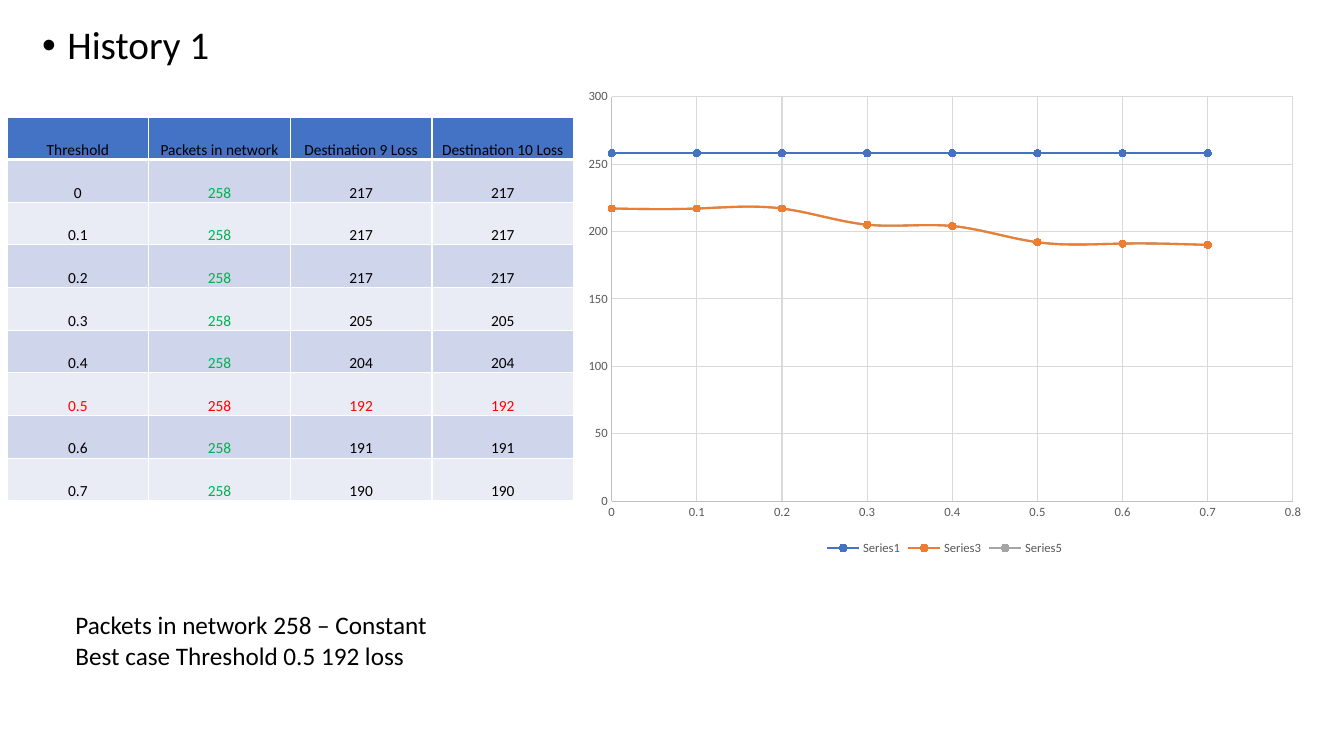
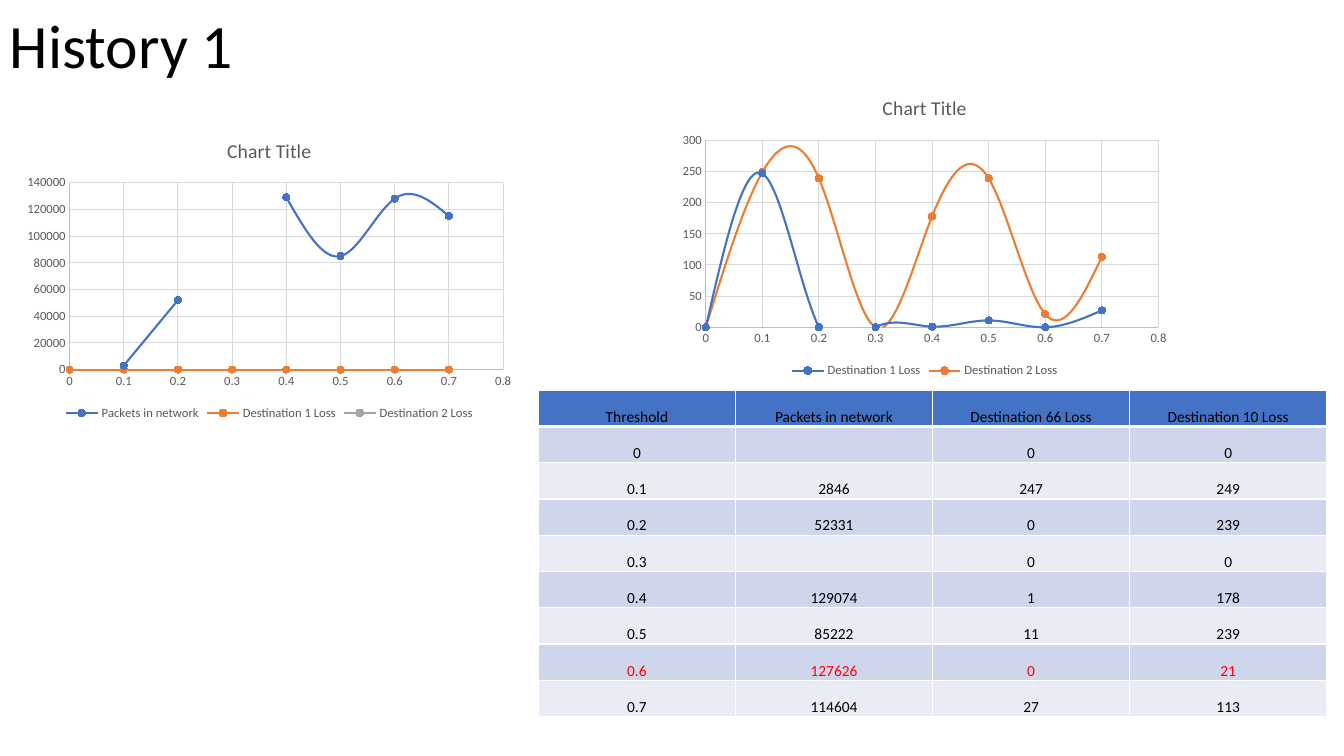
import pptx
import pptx.chart.data
import pptx.dml.color
import pptx.enum.chart
import pptx.enum.text
import pptx.oxml
import pptx.oxml.ns
import pptx.util

Inches = pptx.util.Inches
Pt = pptx.util.Pt
RGBColor = pptx.dml.color.RGBColor

BLACK = RGBColor(0x00, 0x00, 0x00)
RED = RGBColor(0xFF, 0x00, 0x00)
GREEN = RGBColor(0x00, 0xB0, 0x50)
BLUE = RGBColor(0x44, 0x72, 0xC4)
ORANGE = RGBColor(0xED, 0x7D, 0x31)
GRAY = RGBColor(0xA5, 0xA5, 0xA5)
AXIS_TEXT = RGBColor(0x59, 0x59, 0x59)
AXIS_LINE = RGBColor(0xBF, 0xBF, 0xBF)
GRID_LINE = RGBColor(0xD9, 0xD9, 0xD9)
BANDS = (RGBColor(0xE9, 0xEB, 0xF5), RGBColor(0xCF, 0xD5, 0xEA))

THRESHOLDS = (0, 0.1, 0.2, 0.3, 0.4, 0.5, 0.6, 0.7)
FIRST_LOSSES = (217, 217, 217, 205, 204, 192, 191, 190)
FIRST_PACKETS = (258,) * len(THRESHOLDS)
SECOND_PACKETS = (None, 2846, 52331, None, 129074, 85222, 127626, 114604)
DESTINATION_66 = (0, 247, 0, 0, 1, 11, 0, 27)
DESTINATION_10 = (0, 249, 239, 0, 178, 239, 21, 113)


class Deck:
    """Hold the shared style and the current slide, and draw elements on it."""

    font_name = "Calibri"
    series_colors = (BLUE, ORANGE, GRAY)
    cell_format = {
        "margin_left": Inches(0.01),
        "margin_right": Inches(0.01),
        "margin_top": Inches(0.01),
        "margin_bottom": 0,
        "vertical_anchor": pptx.enum.text.MSO_ANCHOR.BOTTOM,
    }
    axis_format = {
        "has_major_gridlines": True,
        "major_tick_mark": pptx.enum.chart.XL_TICK_MARK.NONE,
        "minor_tick_mark": pptx.enum.chart.XL_TICK_MARK.NONE,
    }
    legend_format = {
        "position": pptx.enum.chart.XL_LEGEND_POSITION.BOTTOM,
        "include_in_layout": False,
    }

    def __init__(self):
        self.presentation = pptx.Presentation()
        self.apply(self.presentation, {"slide_width": Inches(13.33), "slide_height": Inches(7.5)})
        self.slide = None

    def apply(self, target, values):
        for name, value in values.items():
            setattr(target, name, value)

    def style_font(self, font, size, color):
        self.apply(font, {"name": self.font_name, "size": Pt(size), "bold": False})
        font.color.rgb = color

    def style_line(self, line, color, width):
        line.color.rgb = color
        line.width = Pt(width)

    def add_slide(self):
        self.slide = self.presentation.slides.add_slide(self.presentation.slide_layouts[6])

    def add_text(self, box, lines, size, frame_format=None, paragraph_format=None, bullet=False):
        shape = self.slide.shapes.add_textbox(*map(Inches, box))
        frame = shape.text_frame
        self.apply(frame, {"word_wrap": True, **(frame_format or {})})
        for index, line in enumerate(lines):
            paragraph = frame.add_paragraph() if index else frame.paragraphs[0]
            self.apply(paragraph, paragraph_format or {})
            run = paragraph.add_run()
            run.text = line
            self.style_font(run.font, size, BLACK)
            if bullet:
                self.add_bullet(paragraph)

    def add_bullet(self, paragraph):
        properties = paragraph._p.get_or_add_pPr()
        properties.set("marL", str(Inches(0.25)))
        properties.set("indent", str(Inches(-0.25)))
        namespace = pptx.oxml.ns.nsdecls("a")
        properties.append(pptx.oxml.parse_xml(f'<a:buFont {namespace} typeface="Arial"/>'))
        properties.append(pptx.oxml.parse_xml(f'<a:buChar {namespace} char="•"/>'))

    def add_chart(self, box, series, title=None):
        data = pptx.chart.data.XyChartData()
        for name, values in series:
            points = data.add_series(name)
            for threshold, value in zip(THRESHOLDS, values):
                points.add_data_point(threshold, value)
        kind = pptx.enum.chart.XL_CHART_TYPE.XY_SCATTER_SMOOTH
        chart = self.slide.shapes.add_chart(kind, *map(Inches, box), data).chart
        for point in chart.element.xpath(".//c:pt[c:v='None']"):
            point.getparent().remove(point)
        for smooth in chart.element.xpath(".//c:smooth"):
            smooth.set("val", "1")
        self.style_font(chart.font, 10, BLACK)
        self.apply(chart, {"has_title": title is not None, "has_legend": True})
        if title:
            frame = chart.chart_title.text_frame
            frame.text = title
            self.style_font(frame.paragraphs[0].runs[0].font, 14, AXIS_TEXT)
        self.apply(chart.legend, self.legend_format)
        self.style_font(chart.legend.font, 9, AXIS_TEXT)
        for axis in (chart.category_axis, chart.value_axis):
            self.apply(axis, self.axis_format)
            self.style_font(axis.tick_labels.font, 9, AXIS_TEXT)
            self.style_line(axis.format.line, AXIS_LINE, 0.75)
            self.style_line(axis.major_gridlines.format.line, GRID_LINE, 0.75)
        plot = chart.plots[0]
        plot.vary_by_categories = False
        for drawn, color in zip(plot.series, self.series_colors):
            self.style_line(drawn.format.line, color, 1.5)
            marker = drawn.marker
            self.apply(marker, {"style": pptx.enum.chart.XL_MARKER_STYLE.CIRCLE, "size": 5})
            marker.format.fill.solid()
            marker.format.fill.fore_color.rgb = color
            self.style_line(marker.format.line, color, 0.75)

    def add_borders(self, cell, widths):
        properties = cell._tc.get_or_add_tcPr()
        for edge, width in widths.items():
            properties.append(pptx.oxml.parse_xml(
                f'<a:ln{edge} {pptx.oxml.ns.nsdecls("a")} w="{Pt(width)}">'
                f'<a:solidFill><a:srgbClr val="FFFFFF"/></a:solidFill></a:ln{edge}>'))

    def add_cell(self, cell, value, fill, color, borders):
        self.apply(cell, self.cell_format)
        self.add_borders(cell, borders)
        cell.fill.solid()
        cell.fill.fore_color.rgb = fill
        paragraph = cell.text_frame.paragraphs[0]
        paragraph.alignment = pptx.enum.text.PP_ALIGN.CENTER
        if value is not None:
            run = paragraph.add_run()
            run.text = str(value)
            self.style_font(run.font, 11, color)

    def add_table(self, box, headings, columns, best, column_colors=None):
        rows = [headings, *zip(*columns)]
        left, top, width, height = map(Inches, box)
        table = self.slide.shapes.add_table(
            len(rows), len(headings), left, top, width, height).table
        for column in table.columns:
            column.width = width // len(headings)
        for row_index, values in enumerate(rows):
            table.rows[row_index].height = height // len(rows)
            for column_index, value in enumerate(values):
                cell = table.cell(row_index, column_index)
                if row_index == 0:
                    fill, color = BLUE, BLACK
                    borders = {"L": 1, "R": 1, "T": 1, "B": 3}
                else:
                    fill = BANDS[row_index % 2]
                    color = (column_colors or {}).get(column_index, BLACK)
                    borders = {"L": 1, "R": 1, "T": 3 if row_index == 1 else 1, "B": 1}
                    if values[0] == best:
                        color = RED
                self.add_cell(cell, value, fill, color, borders)


def main():
    deck = Deck()

    deck.add_slide()
    deck.add_text(
        (0.32, 0.21, 11.5, 4.76), ["History 1"], 28,
        paragraph_format={"line_spacing": 0.9, "space_before": Pt(10)}, bullet=True)
    deck.add_chart(
        (5.69, 0.79, 7.36, 4.76),
        [("Series1", FIRST_PACKETS), ("Series3", FIRST_LOSSES), ("Series5", FIRST_LOSSES)])
    deck.add_text(
        (0.65, 6, 5.04, 0.71),
        ["Packets in network 258 – Constant", "Best case Threshold 0.5 192 loss"], 18,
        frame_format={"auto_size": pptx.enum.text.MSO_AUTO_SIZE.SHAPE_TO_FIT_TEXT})
    deck.add_table(
        (0.07, 1.16, 5.62, 3.81),
        ("Threshold", "Packets in network", "Destination 9 Loss", "Destination 10 Loss"),
        (THRESHOLDS, FIRST_PACKETS, FIRST_LOSSES, FIRST_LOSSES),
        best=0.5, column_colors={1: GREEN})

    deck.add_slide()
    deck.add_text(
        (0, -0.24, 11.5, 1.45), ["History 1"], 44,
        frame_format={"vertical_anchor": pptx.enum.text.MSO_ANCHOR.MIDDLE},
        paragraph_format={"line_spacing": 0.9})
    rounded_packets = [value and round(value, -3) for value in SECOND_PACKETS]
    no_losses = (0,) * len(THRESHOLDS)
    deck.add_chart(
        (0.17, 1.21, 5, 3),
        [("Packets in network", rounded_packets),
         ("Destination 1 Loss", no_losses),
         ("Destination 2 Loss", no_losses)],
        title="Chart Title")
    deck.add_chart(
        (6.67, 0.79, 5, 3),
        [("Destination 1 Loss", DESTINATION_66), ("Destination 2 Loss", DESTINATION_10)],
        title="Chart Title")
    deck.add_table(
        (5.34, 3.87, 7.82, 3.24),
        ("Threshold", "Packets in network", "Destination 66 Loss", "Destination 10 Loss"),
        (THRESHOLDS, SECOND_PACKETS, DESTINATION_66, DESTINATION_10),
        best=0.6)

    deck.presentation.save("out.pptx")


if __name__ == "__main__":
    main()
